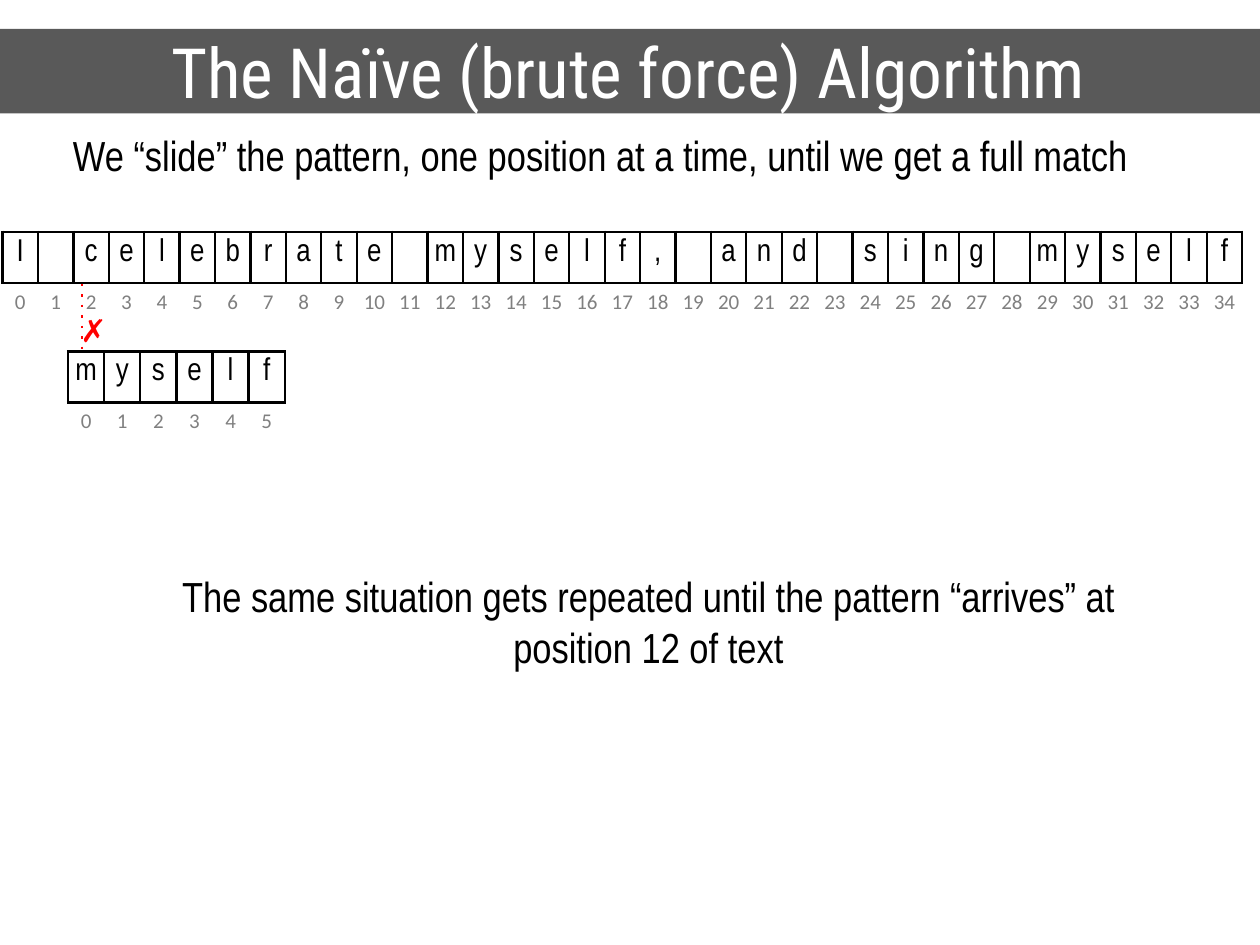
import pptx
import pptx.util
import pptx.dml.color
import pptx.enum.text
import pptx.enum.shapes
import lxml.etree
import pptx.oxml.ns

Inches, Pt = pptx.util.Inches, pptx.util.Pt
RGBColor = pptx.dml.color.RGBColor
CENTER = pptx.enum.text.PP_ALIGN.CENTER
MIDDLE = pptx.enum.text.MSO_ANCHOR.MIDDLE
qn = pptx.oxml.ns.qn

BLACK = RGBColor(0x00, 0x00, 0x00)
WHITE = RGBColor(0xFF, 0xFF, 0xFF)
BAND_GRAY = RGBColor(0x59, 0x59, 0x59)
INDEX_GRAY = RGBColor(0x80, 0x80, 0x80)
RED = RGBColor(0xFF, 0x00, 0x00)

ROW_HEIGHT = 0.405


def write(frame, text, font, size, color, align=None):
    paragraph = frame.paragraphs[0]
    paragraph.text = text
    paragraph.alignment = align
    paragraph.font.name = font
    paragraph.font.size = Pt(size)
    paragraph.font.color.rgb = color


def add_indexed_string(slide, string, left, top, width):
    """Boxed characters in the first row, their positions in the second."""
    table = slide.shapes.add_table(
        2, len(string), Inches(left), Inches(top), Inches(width), Inches(2 * ROW_HEIGHT)
    ).table
    table.first_row = table.horz_banding = False
    for row in table.rows:
        row.height = Inches(ROW_HEIGHT)
    for index, character in enumerate(string):
        table.columns[index].width = Inches(width / len(string))
        letter, position = table.cell(0, index), table.cell(1, index)
        for cell, bordered_sides in ((letter, "LRTB"), (position, "T")):
            cell.margin_left = cell.margin_right = Inches(0.04)
            cell.margin_top = cell.margin_bottom = Inches(0.05)
            properties = cell._tc.get_or_add_tcPr()
            for side in "LRTB":
                border = lxml.etree.SubElement(properties, qn(f"a:ln{side}"), w=str(Pt(1.5)))
                if side in bordered_sides:
                    fill = lxml.etree.SubElement(border, qn("a:solidFill"))
                    lxml.etree.SubElement(fill, qn("a:srgbClr"), val=str(BLACK))
                else:
                    lxml.etree.SubElement(border, qn("a:noFill"))
            cell.fill.background()
        write(letter.text_frame, character.strip(), "Arial Narrow", 18, BLACK, CENTER)
        write(position.text_frame, str(index), "Calibri", 12, INDEX_GRAY, CENTER)


presentation = pptx.Presentation()
presentation.slide_width = Inches(10)
presentation.slide_height = Inches(7.5)
slide = presentation.slides.add_slide(presentation.slide_layouts[6])

# Title band
title = slide.shapes.add_shape(
    pptx.enum.shapes.MSO_SHAPE.RECTANGLE, Inches(-0.02), Inches(0.23), Inches(10.02), Inches(0.67)
)
title.shadow.inherit = False
title.fill.solid()
title.fill.fore_color.rgb = BAND_GRAY
title.line.fill.background()
title.text_frame.vertical_anchor = MIDDLE
write(title.text_frame, "The Naïve (brute force) Algorithm", "Roboto Condensed", 39.6, WHITE, CENTER)

# Text and pattern
add_indexed_string(slide, "I celebrate myself, and sing myself", 0.02, 1.84, 9.84)
add_indexed_string(slide, "myself", 0.54, 2.79, 1.72)

# Explanations and mismatch mark
for left, top, width, height, wrap, text, font, size, color, align in (
    (0.48, 0.98, 8.65, 0.5, False,
     "We “slide” the pattern, one position at a time, until we get a full match",
     "Arial Narrow", 24, BLACK, None),
    (0.54, 2.42, 0.37, 0.4, False, "✗", "Arial", 18, RED, None),
    (0.92, 4.48, 8.45, 0.91, True,
     "The same situation gets repeated until the pattern “arrives” at position 12 of text",
     "Arial Narrow", 24, BLACK, CENTER),
):
    note = slide.shapes.add_textbox(Inches(left), Inches(top), Inches(width), Inches(height))
    note.text_frame.word_wrap = wrap
    write(note.text_frame, text, font, size, color, align)

# Dotted line between the compared characters
comparison = slide.shapes.add_connector(
    pptx.enum.shapes.MSO_CONNECTOR.STRAIGHT, Inches(0.65), Inches(2.25), Inches(0.65), Inches(2.79)
)
comparison.line.color.rgb = RED
comparison.line.width = Pt(1.5)
lxml.etree.SubElement(comparison.line._get_or_add_ln(), qn("a:prstDash"), val="dot")
lxml.etree.SubElement(comparison._element.spPr, qn("a:effectLst"))

presentation.save("out.pptx")
